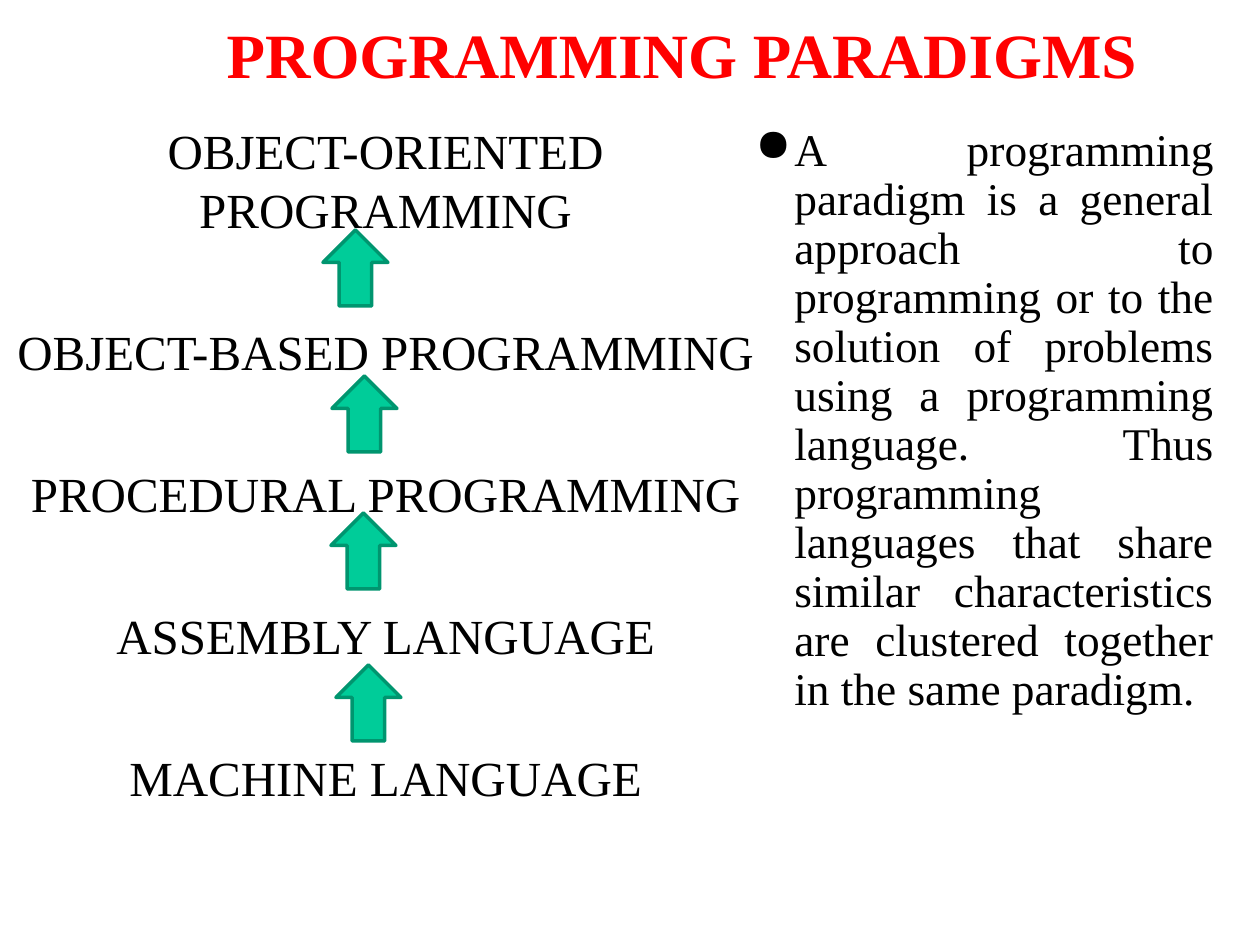
"""Build the programming paradigms slide."""
import lxml.etree
import pptx
import pptx.dml.color
import pptx.enum.shapes
import pptx.enum.text
import pptx.oxml.ns
import pptx.util

PX = 914400 // 126
FONT = "Times New Roman"
ALIGN = pptx.enum.text.PP_ALIGN
ANCHOR = pptx.enum.text.MSO_ANCHOR

TITLE = "PROGRAMMING PARADIGMS"
STAGES = [
    "OBJECT-ORIENTED PROGRAMMING",
    "OBJECT-BASED PROGRAMMING",
    "PROCEDURAL PROGRAMMING",
    "ASSEMBLY LANGUAGE",
    "MACHINE LANGUAGE",
]
DEFINITION = (
    "A programming paradigm is a general approach to programming or to the "
    "solution of problems using a programming language. Thus programming "
    "languages that share similar characteristics are clustered together in "
    "the same paradigm."
)
TITLE_BOX = (214, 38, 975, 59)
STAGES_BOX = (0, 114, 771, 726)
DEFINITION_BOX = (732, 120, 494, 825)
ARROW_SIZE = (65, 76)
ARROW_CORNERS = [(336, 665), (331, 513), (332, 376), (323, 230)]


def color(value):
    return pptx.dml.color.RGBColor.from_string(value)


def place(shape, box):
    shape.left, shape.top, shape.width, shape.height = (v * PX for v in box)


def set_frame(shape, anchor):
    frame = shape.text_frame
    frame.word_wrap = True
    frame.auto_size = pptx.enum.text.MSO_AUTO_SIZE.NONE
    frame.vertical_anchor = anchor
    return frame


def set_bullet(paragraph, character=None, margin=0, indent=0):
    properties = paragraph._p.get_or_add_pPr()
    properties.set("marL", str(margin * PX))
    properties.set("indent", str(indent * PX))
    tag = "a:buChar" if character else "a:buNone"
    bullet = lxml.etree.SubElement(properties, pptx.oxml.ns.qn(tag))
    if character:
        bullet.set("char", character)


def format_paragraph(paragraph, size, alignment, value="000000", line=None, bold=False):
    paragraph.alignment = alignment
    if line:
        paragraph.line_spacing = pptx.util.Pt(line)
    paragraph.space_before = pptx.util.Pt(0)
    font = paragraph.font
    font.name, font.size, font.bold = FONT, pptx.util.Pt(size), bold
    font.color.rgb = color(value)


def add_title(slide):
    shape = slide.shapes.title
    place(shape, TITLE_BOX)
    paragraph = set_frame(shape, ANCHOR.BOTTOM).paragraphs[0]
    paragraph.text = TITLE
    format_paragraph(paragraph, 36, ALIGN.LEFT, "FF0000", bold=True)


def add_definition(slide):
    shape = slide.shapes.add_textbox(*(v * PX for v in DEFINITION_BOX))
    paragraph = set_frame(shape, ANCHOR.TOP).paragraphs[0]
    paragraph.text = DEFINITION
    set_bullet(paragraph, "●", 50, -39)
    format_paragraph(paragraph, 25.9, ALIGN.JUSTIFY, line=28)


def add_stages(slide):
    shape = slide.placeholders[1]
    place(shape, STAGES_BOX)
    frame = set_frame(shape, ANCHOR.TOP)
    frame.text = "\n".join(STAGES)
    for index, paragraph in enumerate(frame.paragraphs):
        set_bullet(paragraph)
        format_paragraph(paragraph, 28, ALIGN.CENTER, line=33.7)
        if index:
            paragraph.space_before = pptx.util.Pt(47.4)


def add_arrows(slide):
    for corner in ARROW_CORNERS:
        arrow = slide.shapes.add_shape(
            pptx.enum.shapes.MSO_SHAPE.UP_ARROW,
            *(v * PX for v in corner + ARROW_SIZE),
        )
        arrow.shadow.inherit = False
        arrow.fill.solid()
        arrow.fill.fore_color.rgb = color("00CC99")
        arrow.line.color.rgb = color("00956F")
        arrow.line.width = pptx.util.Pt(2)


def main():
    presentation = pptx.Presentation()
    presentation.slide_width = 1260 * PX
    presentation.slide_height = 945 * PX
    slide = presentation.slides.add_slide(presentation.slide_layouts[1])
    add_title(slide)
    add_definition(slide)
    add_stages(slide)
    add_arrows(slide)
    presentation.save("out.pptx")


if __name__ == "__main__":
    main()
